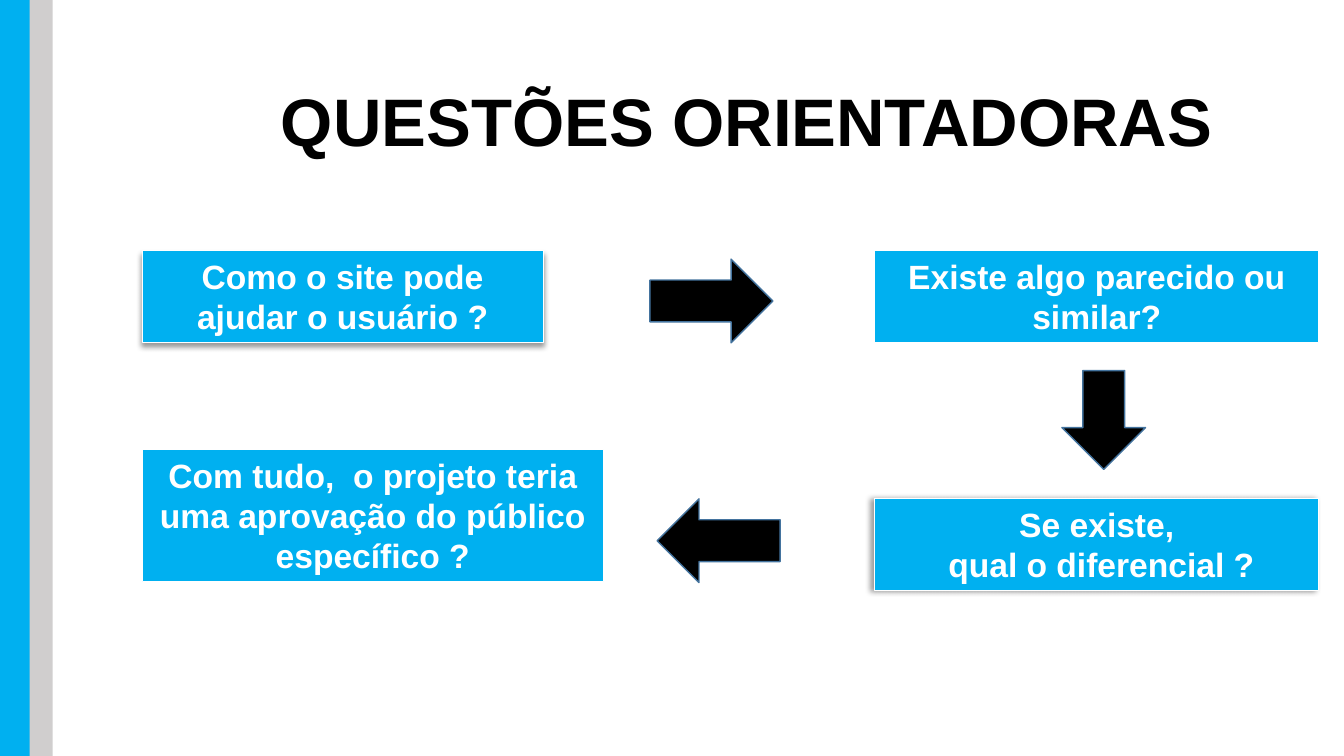
from lxml import etree
from pptx import Presentation
from pptx.dml.color import RGBColor
from pptx.enum.shapes import MSO_SHAPE as SHAPE
from pptx.enum.text import MSO_ANCHOR as ANCHOR, MSO_AUTO_SIZE as AUTO, PP_ALIGN as ALIGN
from pptx.oxml.ns import qn
from pptx.util import Cm, Pt

COLORS = {"blue": "00B0F0", "gray": "D0CECE", "black": "000000",
          "white": "FFFFFF", "edge": "43739E"}


class Slide:
    """Draw the elements of a slide in one shared style."""

    def __init__(self, prs):
        self.s = prs.slides.add_slide(prs.slide_layouts[6])
        self.font = {"name": "Arial", "bold": True}

    def color(self, name):
        return RGBColor.from_string(COLORS[name])

    def shape(self, kind, box, fill, line=None, width=0.75):
        sp = self.s.shapes.add_shape(kind, *map(Cm, box))
        sp.shadow.inherit = False
        sp.fill.solid()
        sp.fill.fore_color.rgb = self.color(fill)
        if line:
            sp.line.color.rgb = self.color(line)
            sp.line.width = Pt(width)
        else:
            sp.line.fill.background()
        return sp

    def add_text(self, sp, lines, size, color, align):
        tf = sp.text_frame
        frame = {"word_wrap": True, "auto_size": AUTO.SHAPE_TO_FIT_TEXT,
                 "vertical_anchor": ANCHOR.TOP}
        for key, value in frame.items():
            setattr(tf, key, value)
        for i, line in enumerate(lines):
            p = tf.add_paragraph() if i else tf.paragraphs[0]
            p.alignment = align
            r = p.add_run()
            r.text = line
            for key, value in {**self.font, "size": Pt(size)}.items():
                setattr(r.font, key, value)
            r.font.color.rgb = self.color(color)

    def title(self, box, text):
        sp = self.s.shapes.add_textbox(*map(Cm, box))
        self.add_text(sp, [text], 48, "black", ALIGN.LEFT)

    def question(self, box, *lines, shadow=None):
        sp = self.shape(SHAPE.RECTANGLE, box, "blue", "white")
        self.add_text(sp, lines, 24, "white", ALIGN.CENTER)
        if shadow is not None:
            self.cast_shadow(sp, shadow)

    def cast_shadow(self, sp, angle):
        effects = sp.element.spPr.find(qn("a:effectLst"))
        outer = etree.SubElement(effects, qn("a:outerShdw"), blurRad=str(Pt(4)),
                                 dist=str(Pt(3)), dir=str(angle * 60000), rotWithShape="0")
        clr = etree.SubElement(outer, qn("a:srgbClr"), val=COLORS["black"])
        etree.SubElement(clr, qn("a:alpha"), val="40000")

    def arrow(self, box, rotation=0):
        sp = self.shape(SHAPE.RIGHT_ARROW, box, "black", "edge", 1)
        sp.rotation = rotation


def main():
    prs = Presentation()
    prs.slide_width, prs.slide_height = Cm(33.87), Cm(19.05)
    s = Slide(prs)
    left, right, top, bottom = 3.58, 22.05, 6.32, 12.57
    wide, high = 11.18, 2.31

    s.title((6.83, 1.88, 27.03, high), "QUESTÕES ORIENTADORAS")
    s.shape(SHAPE.RECTANGLE, (0, 0, 0.84, 19.05), "blue")
    s.shape(SHAPE.RECTANGLE, (0.75, 0, 0.58, 19.05), "gray")

    s.question((left, top, 10.11, high), "Como o site pode ajudar o usuário ?", shadow=90)
    s.question((right, top, wide, high), "Existe algo parecido ou similar?")
    s.question((right, bottom, wide, high), "Se existe,", " qual o diferencial ?", shadow=180)
    s.question((left, 11.33, 11.63, 3.33),
               "Com tudo,  o projeto teria uma aprovação do público específico ?")

    s.arrow((16.38, 6.53, 3.1, 2.11))
    s.arrow((16.56, bottom, 3.1, 2.11), 180)
    s.arrow((26.57, 9.53, 2.49, 2.11), 90)
    prs.save("out.pptx")


if __name__ == "__main__":
    main()
